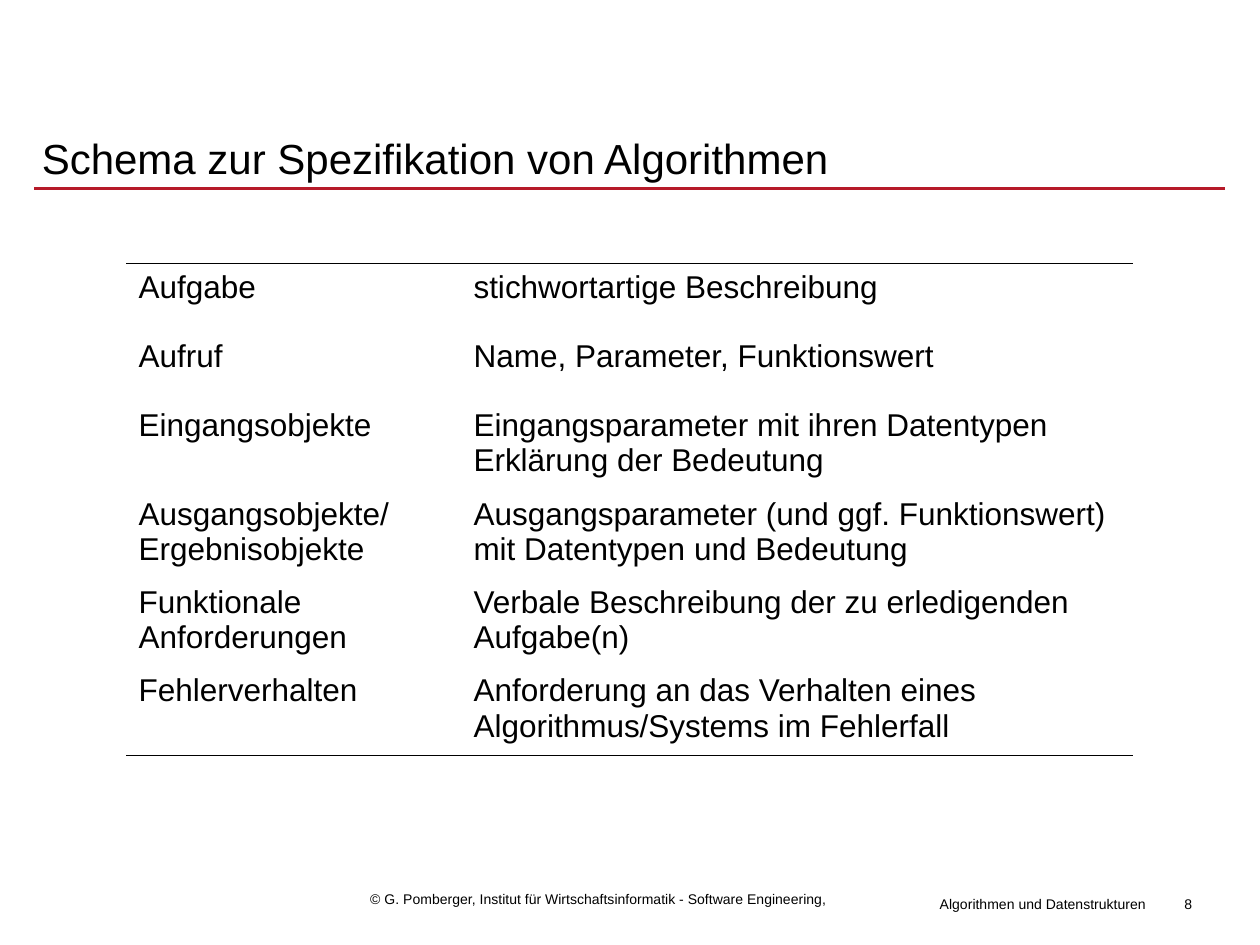
import lxml.etree
import pptx
import pptx.dml.color
import pptx.enum.shapes
import pptx.enum.text
import pptx.oxml.ns
import pptx.util

Pt = pptx.util.Pt
ALIGN = pptx.enum.text.PP_ALIGN
ANCHOR = pptx.enum.text.MSO_ANCHOR
BLACK = pptx.dml.color.RGBColor(0x00, 0x00, 0x00)
RED = pptx.dml.color.RGBColor(0xB6, 0x1A, 0x29)
FONT_NAME = "Arial"
COLUMN_WIDTHS = (191.4, 384.2)
ROW_HEIGHTS = (39.6, 39.6, 50.5, 50.5, 50.5, 50.5)
SCHEMA_ROWS = (
    ("Aufgabe", "stichwortartige Beschreibung"),
    ("Aufruf", "Name, Parameter, Funktionswert"),
    ("Eingangsobjekte",
     "Eingangsparameter mit ihren Datentypen\vErklärung der Bedeutung"),
    ("Ausgangsobjekte/\vErgebnisobjekte",
     "Ausgangsparameter (und ggf. Funktionswert) mit Datentypen und Bedeutung"),
    ("Funktionale Anforderungen",
     "Verbale Beschreibung der zu erledigenden Aufgabe(n)"),
    ("Fehlerverhalten",
     "Anforderung an das Verhalten eines Algorithmus/Systems im Fehlerfall"),
)


def apply_format(target, values):
    for name, value in values.items():
        setattr(target, name, value)


def write_text(text_frame, text, size, alignment=ALIGN.LEFT):
    text_frame.text = text
    for paragraph in text_frame.paragraphs:
        paragraph.alignment = alignment
        for run in paragraph.runs:
            apply_format(run.font, {"name": FONT_NAME, "size": Pt(size)})
            run.font.color.rgb = BLACK


def add_text(slide, box, text, size, alignment=ALIGN.LEFT, anchor=ANCHOR.TOP):
    shape = slide.shapes.add_textbox(*map(Pt, box))
    apply_format(shape.text_frame, {
        "word_wrap": True, "vertical_anchor": anchor,
        "margin_left": Pt(7.2), "margin_right": Pt(7.2),
        "margin_top": Pt(3.6), "margin_bottom": Pt(3.6),
    })
    write_text(shape.text_frame, text, size, alignment)


def add_rule(slide, left, right, top):
    connector = slide.shapes.add_connector(
        pptx.enum.shapes.MSO_CONNECTOR.STRAIGHT,
        Pt(left), Pt(top), Pt(right), Pt(top))
    connector.line.color.rgb = RED
    connector.line.width = Pt(1.75)
    lxml.etree.SubElement(connector.element.spPr,
                          pptx.oxml.ns.qn("a:effectLst"))


def set_borders(cell, visible_side):
    properties = cell._tc.get_or_add_tcPr()
    # Borders come before the fill in the cell properties
    for index, side in enumerate(("lnL", "lnR", "lnT", "lnB")):
        border = lxml.etree.Element(pptx.oxml.ns.qn("a:" + side))
        properties.insert(index, border)
        if side != visible_side:
            lxml.etree.SubElement(border, pptx.oxml.ns.qn("a:noFill"))
            continue
        border.set("w", str(Pt(0.45)))
        fill = lxml.etree.SubElement(border, pptx.oxml.ns.qn("a:solidFill"))
        color = lxml.etree.SubElement(fill, pptx.oxml.ns.qn("a:srgbClr"))
        color.set("val", str(BLACK))


def add_schema_table(slide, left, top):
    table = slide.shapes.add_table(
        len(SCHEMA_ROWS), len(COLUMN_WIDTHS), Pt(left), Pt(top),
        Pt(sum(COLUMN_WIDTHS)), Pt(sum(ROW_HEIGHTS))).table
    apply_format(table, {"first_row": False, "horz_banding": False})
    for column, width in zip(table.columns, COLUMN_WIDTHS):
        column.width = Pt(width)
    for row, height in zip(table.rows, ROW_HEIGHTS):
        row.height = Pt(height)
    # Only the outer top and bottom edges are drawn
    edges = {0: "lnT", len(SCHEMA_ROWS) - 1: "lnB"}
    for row_index, texts in enumerate(SCHEMA_ROWS):
        for column_index, text in enumerate(texts):
            cell = table.cell(row_index, column_index)
            write_text(cell.text_frame, text, 18)
            cell.fill.background()
            set_borders(cell, edges.get(row_index))


def main():
    presentation = pptx.Presentation()
    apply_format(presentation,
                 {"slide_width": Pt(720), "slide_height": Pt(540)})
    slide = presentation.slides.add_slide(presentation.slide_layouts[6])

    # Footer
    add_text(slide, (649.4, 508.3, 38.9, 17.3), "8", 8, ALIGN.RIGHT)
    add_text(slide, (529.9, 508.3, 136.1, 17.3),
             "Algorithmen und Datenstrukturen", 8)
    add_text(slide, (204.5, 505.6, 277.9, 17.3),
             "© G. Pomberger, Institut für Wirtschaftsinformatik"
             " - Software Engineering,", 8)

    # Title and its rule
    add_rule(slide, 19.6, 700, 107.8)
    add_text(slide, (16.8, 62.6, 686.2, 54.7),
             "Schema zur Spezifikation von Algorithmen", 24,
             anchor=ANCHOR.MIDDLE)

    # Specification schema
    add_schema_table(slide, 72, 150.4)

    presentation.save("out.pptx")


if __name__ == "__main__":
    main()
